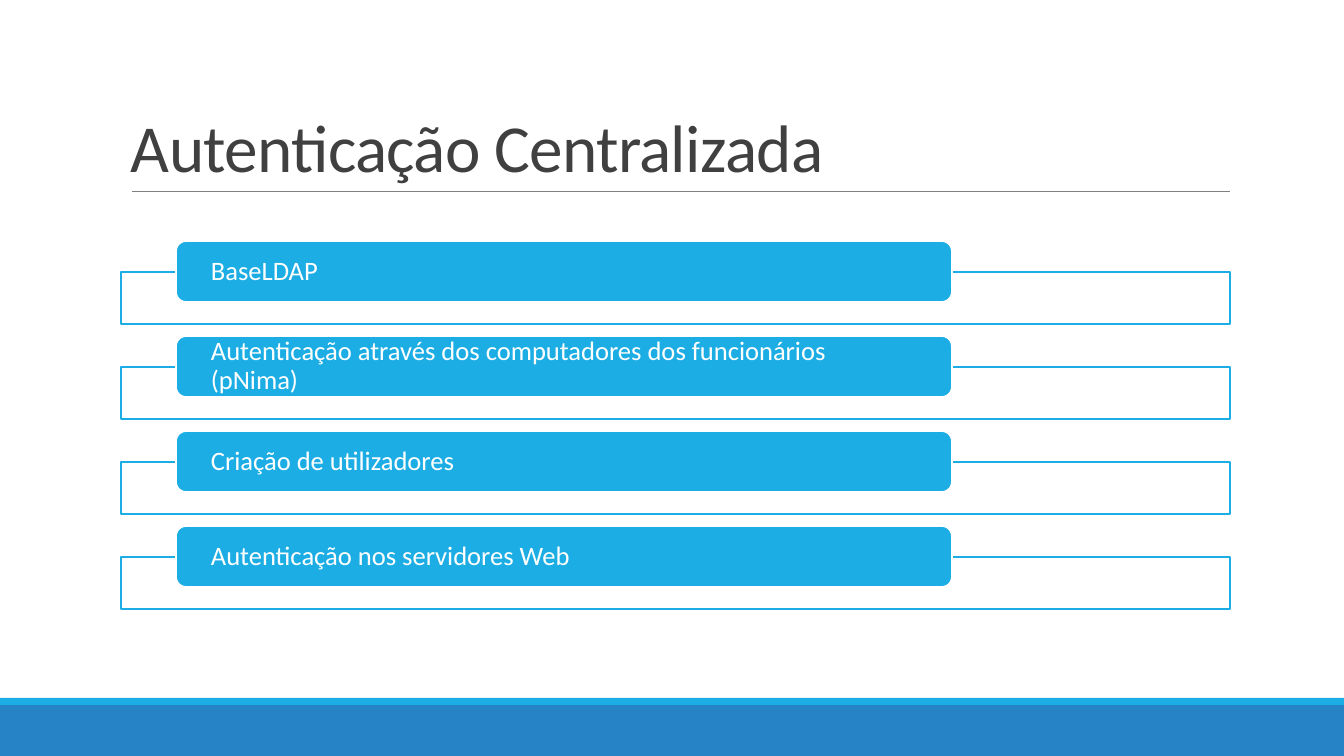
from lxml import etree
from pptx import Presentation
from pptx.dml.color import RGBColor
from pptx.enum.shapes import MSO_CONNECTOR, MSO_SHAPE
from pptx.enum.text import MSO_ANCHOR, PP_ALIGN
from pptx.oxml.ns import qn
from pptx.util import Emu, Pt

RECTANGLE = MSO_SHAPE.RECTANGLE
ROUNDED = MSO_SHAPE.ROUNDED_RECTANGLE
STRAIGHT = MSO_CONNECTOR.STRAIGHT
MIDDLE = MSO_ANCHOR.MIDDLE
BOTTOM = MSO_ANCHOR.BOTTOM
LEFT = PP_ALIGN.LEFT

WHITE = RGBColor(0xFF, 0xFF, 0xFF)
CYAN = RGBColor(0x1C, 0xAD, 0xE4)
BLUE = RGBColor(0x26, 0x83, 0xC6)
GRAY = RGBColor(0x80, 0x80, 0x80)
DARK = RGBColor(0x40, 0x40, 0x40)

FONT = "Calibri"
EMU_PER_INCH = 914400
PX_PER_INCH = 100.8
SLIDE_WIDTH, SLIDE_HEIGHT = 1344, 756
TOPICS = [
    "BaseLDAP",
    "Autenticação através dos computadores dos funcionários (pNima)",
    "Criação de utilizadores",
    "Autenticação nos servidores Web",
]


def px(length):
    """Turn a length in px into EMU."""
    return Emu(round(length * EMU_PER_INCH / PX_PER_INCH))


def add_box(slide, kind, box, fill, line=None):
    """Add a flat preset shape with an optional outline."""
    shape = slide.shapes.add_shape(kind, *map(px, box))
    shape.shadow.inherit = False
    shape.fill.solid()
    shape.fill.fore_color.rgb = fill
    if line is None:
        shape.line.fill.background()
    else:
        shape.line.color.rgb = line
        shape.line.width = Pt(1.25)
    return shape


def write_text(shape, text, size, color, anchor, spacing, inset):
    """Write one left-aligned paragraph into a shape."""
    frame = shape.text_frame
    frame.text = text
    frame.word_wrap = True
    frame.vertical_anchor = anchor
    frame.margin_left = frame.margin_right = px(inset)
    paragraph = frame.paragraphs[0]
    paragraph.alignment = LEFT
    paragraph.line_spacing = spacing
    run = paragraph.runs[0]
    run.font.name = FONT
    run.font.size = Pt(size)
    run.font.color.rgb = color
    return run


def add_footer(slide, box):
    """Draw the blue band with its cyan strip on top."""
    left, top, width, height = box
    strip = 7
    add_box(slide, RECTANGLE, (left, top + strip, width, height - strip), BLUE)
    add_box(slide, RECTANGLE, (left, top, width, strip), CYAN)


def add_title(slide, box, text):
    """Place the title and the rule below it."""
    left, top, width, height = box
    inset = 10
    title = slide.shapes.add_textbox(*map(px, box))
    run = write_text(title, text, 48, DARK, BOTTOM, 0.85, inset)
    run.font._element.set("spc", "-50")
    bottom = px(top + height)
    rule = slide.shapes.add_connector(
        STRAIGHT, px(left + inset + 1), bottom, px(left + width), bottom)
    rule.line.color.rgb = GRAY
    rule.line.width = Pt(0.5)
    etree.SubElement(rule._element.spPr, qn("a:effectLst"))


def add_topic(slide, box, text):
    """Draw an outlined frame with a rounded label over its top edge."""
    left, top, width, height = box
    label_height = 61
    frame_top = label_height // 2 + 1
    add_box(slide, RECTANGLE,
            (left, top + frame_top, width, height - frame_top), WHITE, CYAN)
    label = add_box(slide, ROUNDED,
                    (left + 55, top, width * 7 // 10, label_height), CYAN, WHITE)
    label.text_frame.margin_top = label.text_frame.margin_bottom = 0
    write_text(label, text, 19, WHITE, MIDDLE, 0.9, 32)


def add_topics(slide, box, topics):
    """Stack the topics at equal steps down the box."""
    left, top, width, height = box
    gap = 12
    step = (height + gap) // len(topics)
    for index, text in enumerate(topics):
        add_topic(slide, (left, top + index * step, width, step - gap), text)


def main():
    """Build the slide and save it."""
    presentation = Presentation()
    presentation.slide_width = px(SLIDE_WIDTH)
    presentation.slide_height = px(SLIDE_HEIGHT)
    slide = presentation.slides.add_slide(presentation.slide_layouts[6])
    add_footer(slide, (0, 698, SLIDE_WIDTH, SLIDE_HEIGHT - 698))
    add_title(slide, (121, 31, 1109, 160), "Autenticação Centralizada")
    add_topics(slide, (121, 241, 1109, 368), TOPICS)
    presentation.save("out.pptx")


if __name__ == "__main__":
    main()
